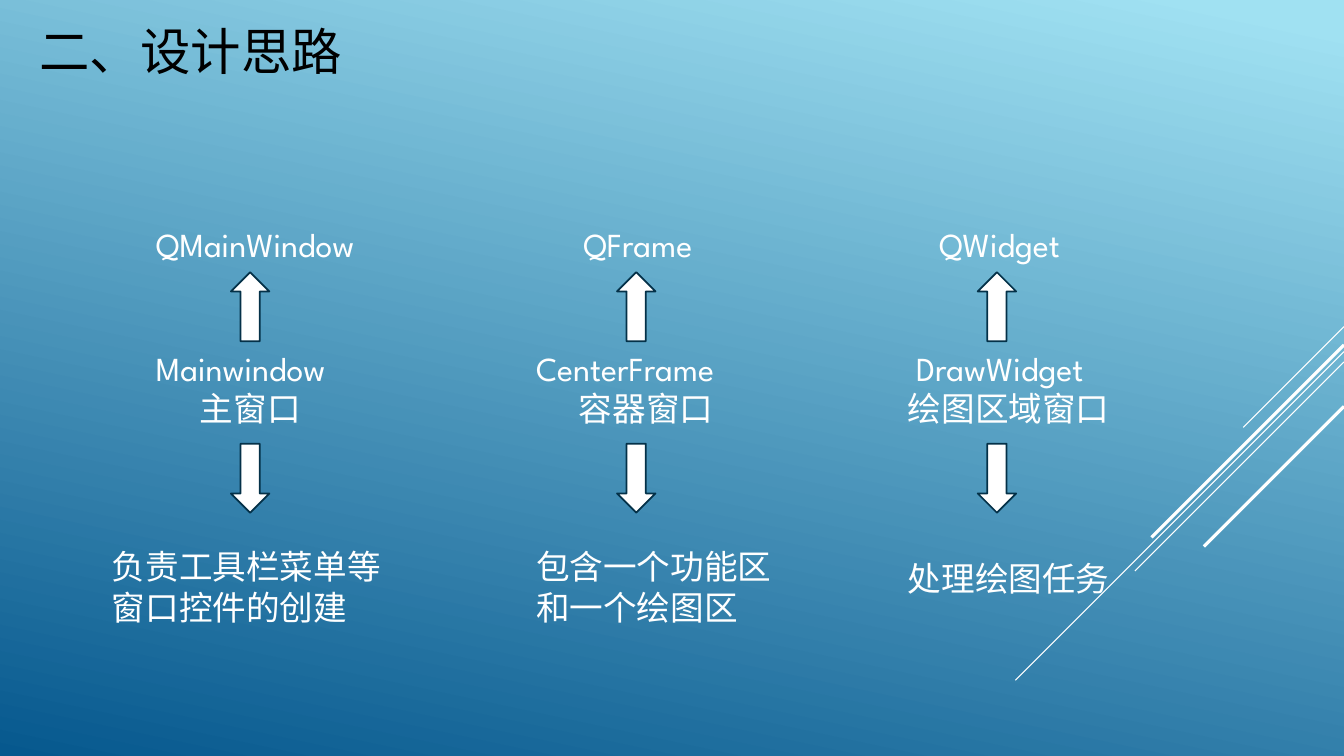
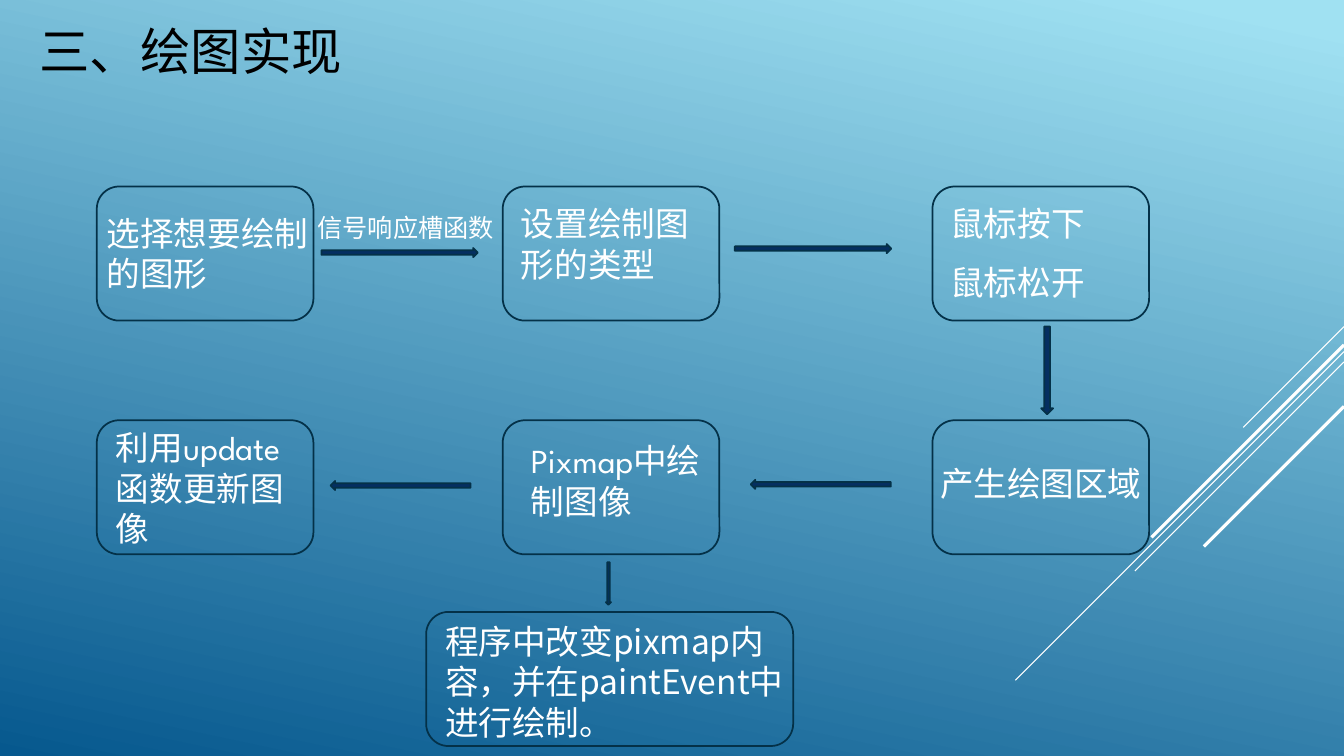
from pptx import Presentation
from pptx.dml.color import RGBColor
from pptx.enum.shapes import MSO_CONNECTOR, MSO_SHAPE
from pptx.enum.text import MSO_ANCHOR, MSO_AUTO_SIZE, PP_ALIGN
from pptx.oxml.ns import qn
from pptx.util import Cm, Pt
from lxml import etree

UP, DOWN = MSO_SHAPE.UP_ARROW, MSO_SHAPE.DOWN_ARROW
LEFT, RIGHT = MSO_SHAPE.LEFT_ARROW, MSO_SHAPE.RIGHT_ARROW
ROUNDED = MSO_SHAPE.ROUNDED_RECTANGLE
STRAIGHT = MSO_CONNECTOR.STRAIGHT
ALIGN_LEFT, ALIGN_CENTER = PP_ALIGN.LEFT, PP_ALIGN.CENTER
TOP, GROW = MSO_ANCHOR.TOP, MSO_AUTO_SIZE.SHAPE_TO_FIT_TEXT

WIDTH, HEIGHT = 33.87, 19.05
TITLE_ONLY = 5


def color(hex_string):
    return RGBColor.from_string(hex_string)


def write(paragraph, text, size=24, font="League Spartan", ink="FFFFFF",
          align=ALIGN_LEFT):
    run = paragraph.add_run()
    run.text = text
    run.font.size = Pt(size)
    run.font.name = font
    run.font.color.rgb = color(ink)
    paragraph.alignment = align


class Deck:
    NAVY, OUTLINE, WHITE, BLACK = "052F61", "043148", "FFFFFF", "000000"
    SKY, DEEP = "A0E1F2", "06588E"
    CJK_FONT = "Noto Sans CJK SC"
    # Top end, horizontal run and width of each diagonal
    DIAGONALS = [(8.23, 2.54, 0.75), (8.86, 8.28, 0.75), (9.12, 5.27, 0.75),
                 (8.69, 4.85, 2.25), (10.24, 3.53, 2.25)]

    def __init__(self):
        self.prs = Presentation()
        self.prs.slide_width, self.prs.slide_height = Cm(WIDTH), Cm(HEIGHT)
        self.slide = None
        self.paint_background()

    def paint_background(self):
        fill = self.prs.slide_master.background.fill
        fill.gradient()
        fill.gradient_angle = 258
        for stop, (place, shade) in zip(fill.gradient_stops,
                                        [(0.03, self.SKY), (1, self.DEEP)]):
            stop.position = place
            stop.color.rgb = color(shade)

    def new_slide(self, title):
        layout = self.prs.slide_layouts[TITLE_ONLY]
        self.slide = self.prs.slides.add_slide(layout)
        for top, run, width in self.DIAGONALS:
            self.line(WIDTH, top, WIDTH - run, top + run, width)
        heading = self.slide.shapes.title
        heading.left, heading.top = Cm(0.74), Cm(0.38)
        heading.width, heading.height = Cm(9.25), Cm(1.8)
        frame = heading.text_frame
        frame.vertical_anchor, frame.auto_size = TOP, GROW
        write(frame.paragraphs[0], title, size=36, ink=self.BLACK)

    def line(self, x1, y1, x2, y2, width):
        diagonal = self.slide.shapes.add_connector(
            STRAIGHT, Cm(x1), Cm(y1), Cm(x2), Cm(y2))
        diagonal.line.color.rgb = color(self.WHITE)
        diagonal.line.width = Pt(width)
        etree.SubElement(diagonal._element.spPr, qn("a:effectLst"))

    def shape(self, kind, x, y, w, h, fill=None):
        item = self.slide.shapes.add_shape(kind, Cm(x), Cm(y), Cm(w), Cm(h))
        item.shadow.inherit = False
        if fill:
            item.fill.solid()
            item.fill.fore_color.rgb = color(fill)
        else:
            item.fill.background()
        item.line.color.rgb = color(self.OUTLINE)
        item.line.width = Pt(1.25)

    def text(self, x, y, w, h, *lines, wrap=True, last_align=ALIGN_LEFT,
             **style):
        box = self.slide.shapes.add_textbox(Cm(x), Cm(y), Cm(w), Cm(h))
        frame = box.text_frame
        frame.word_wrap, frame.auto_size = wrap, GROW
        write(frame.paragraphs[0], lines[0], **style)
        for extra in lines[1:]:
            write(frame.add_paragraph(), extra, align=last_align, **style)


deck = Deck()

# Design: base class above, own class in the middle, duty below
deck.new_slide("二、设计思路")
bases = [("QMainWindow", 3.68, 6.05), ("QFrame", 14.45, 3.68),
         ("QWidget", 23.42, 4.01)]
classes = [("Mainwindow", "主窗口", 3.68, 5.26, ALIGN_CENTER),
           ("CenterFrame", "容器窗口", 13.26, 6.05, ALIGN_CENTER),
           (" DrawWidget", "绘图区域窗口", 22.63, 8.15, ALIGN_LEFT)]
duties = [("负责工具栏菜单等窗口控件的创建", 2.57, 13.64, 7.42, 2.31),
          ("包含一个功能区和一个绘图区", 13.26, 13.64, 6.78, 2.31),
          ("处理绘图任务", 22.63, 13.94, 6.99, 1.27)]
for base, x, w in bases:
    deck.text(x, 5.51, w, 1.27, base)
for name, role, x, w, align in classes:
    deck.text(x, 8.64, w, 2.31, name, role, last_align=align)
for duty, x, y, w, h in duties:
    deck.text(x, y, w, h, duty)
for x in (5.82, 15.55, 24.64):
    deck.shape(UP, x, 6.86, 0.97, 1.74, deck.WHITE)
    deck.shape(DOWN, x, 11.18, 0.97, 1.74, deck.WHITE)

# Drawing: a flow through two rows of steps and a closing remark
deck.new_slide("三、绘图实现")
for y in (4.7, 10.59):
    for x in (2.44, 12.67, 23.5):
        deck.shape(ROUNDED, x, y, 5.46, 3.38)
deck.shape(ROUNDED, 10.74, 15.42, 9.25, 3.38)

flow_arrows = [(RIGHT, 8.1, 6.25, 3.94, 0.23), (RIGHT, 18.52, 6.15, 3.94, 0.23),
               (DOWN, 26.24, 8.23, 0.3, 2.21), (LEFT, 18.92, 12.09, 3.53, 0.23),
               (LEFT, 8.33, 12.12, 3.53, 0.23), (DOWN, 15.27, 14.17, 0.13, 1.07)]
for kind, x, y, w, h in flow_arrows:
    deck.shape(kind, x, y, w, h, deck.NAVY)

steps = [("选择想要绘制的图形", 2.44, 5.23, 5.66, 2.31),
         ("设置绘制图形的类型", 12.88, 5, 4.8, 3.07),
         ("鼠标按下", 23.7, 4.98, 4.42, 1.27),
         ("鼠标松开", 23.7, 6.48, 3.94, 1.27),
         ("Pixmap中绘制图像", 13.13, 10.97, 5, 2.31),
         ("利用update函数更新图像", 2.67, 10.64, 5.08, 3.33)]
for step, x, y, w, h in steps:
    deck.text(x, y, w, h, step)
deck.text(7.75, 5.23, 5, 1.02, "信号响应槽函数", wrap=False, size=18,
          font=deck.CJK_FONT)
deck.text(23.44, 11.53, 5.64, 2.82, "产生绘图区域", wrap=False,
          font=deck.CJK_FONT)
deck.text(10.97, 15.52, 9.25, 3.33,
          "程序中改变pixmap内容，并在paintEvent中进行绘制。", font=deck.CJK_FONT)

deck.prs.save("out.pptx")
